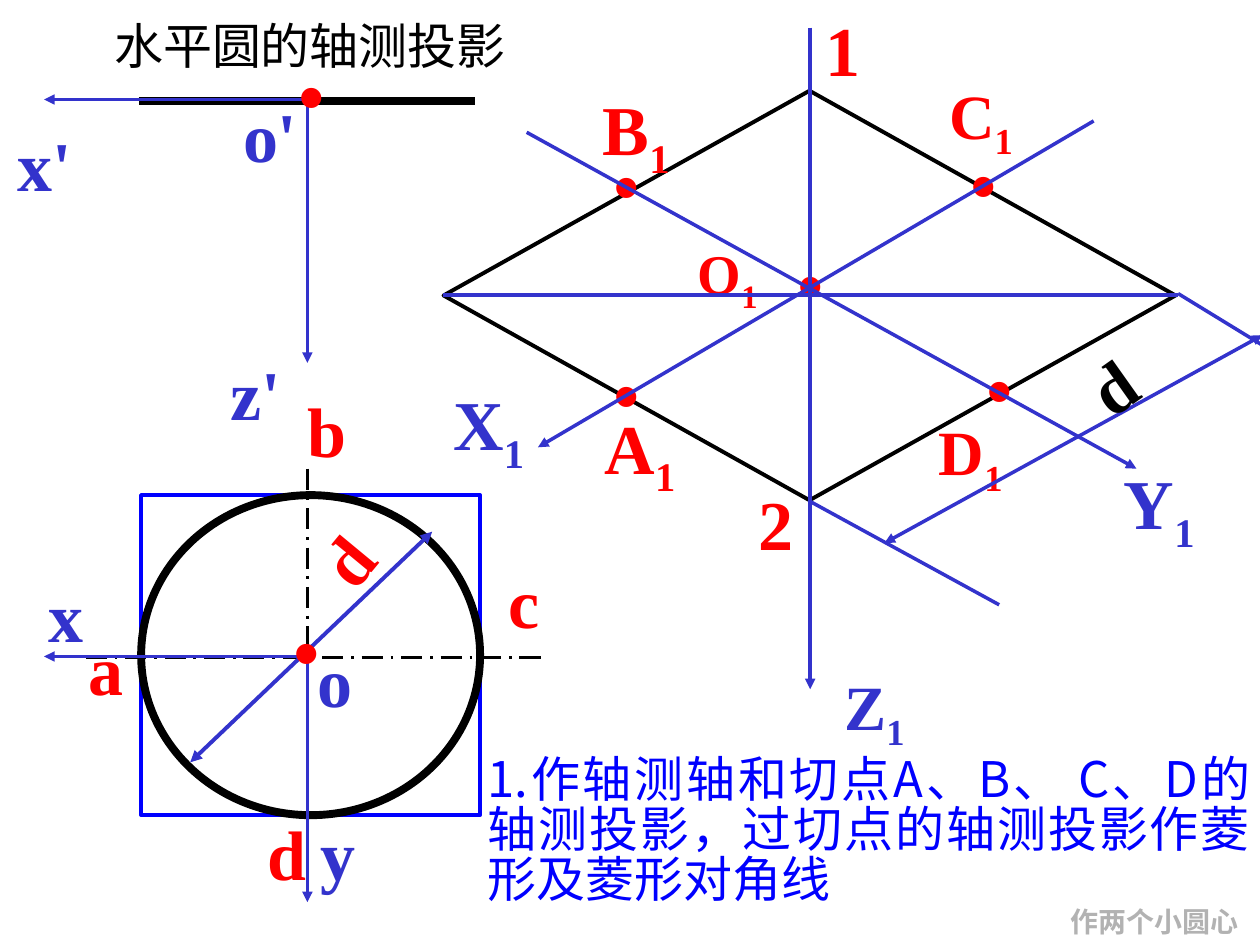
from typing import NamedTuple

from lxml.etree import SubElement
from pptx import Presentation
from pptx.dml.color import RGBColor
from pptx.enum.dml import MSO_LINE_DASH_STYLE as Dash
from pptx.enum.shapes import MSO_CONNECTOR as Connector, MSO_SHAPE as Shape
from pptx.enum.text import MSO_ANCHOR as Anchor, MSO_AUTO_SIZE as AutoSize, PP_ALIGN as Align
from pptx.oxml.ns import qn
from pptx.util import Pt

PX = 9144  # 100 px to the inch
COLORS = {
    "black": "000000", "white": "FFFFFF", "red": "FF0000",
    "blue": "0000FF", "axis": "3333CC", "grey": "B2B2B2",
}
SERIF = "Times New Roman"
SANS = "Noto Sans CJK SC"


class Box(NamedTuple):
    left: int
    top: int
    width: int
    height: int

    def inside(self, x, y, width, height):
        return Box(self.left + x, self.top + y, width, height)


def rgb(name):
    return RGBColor.from_string(COLORS[name])


def set_attributes(target, values):
    for name, value in values.items():
        setattr(target, name, value)


def add_text(slide, box, text, color, size=40, font=SERIF, bold=True,
             align=Align.CENTER, wrap=False, subscript="", rotation=0, spacing=None):
    shape = slide.shapes.add_textbox(*(length * PX for length in box))
    shape.rotation = rotation
    set_attributes(shape.text_frame, {
        "word_wrap": wrap,
        "auto_size": AutoSize.SHAPE_TO_FIT_TEXT,
        "vertical_anchor": Anchor.MIDDLE,
    })
    paragraph = shape.text_frame.paragraphs[0]
    set_attributes(paragraph, {"alignment": align, "line_spacing": spacing})
    for content, baseline in ((text, None), (subscript, "-25000")):
        if not content:
            continue
        run = paragraph.add_run()
        run.text = content
        set_attributes(run.font, {"size": Pt(size), "bold": bold, "name": font})
        run.font.color.rgb = rgb(color)
        properties = run._r.get_or_add_rPr()
        SubElement(properties, qn("a:ea"), typeface=SANS)
        if baseline:
            properties.set("baseline", baseline)


def add_labels(slide, box, color, labels):
    """Each label is text, x, y, width; 40 pt and without subscript."""
    for text, x, y, width in labels:
        add_text(slide, box.inside(x, y, width, 77), text, color)


def add_points(slide, box, points):
    for x, y in points:
        add_text(slide, box.inside(x, y, 43, 77), "•", "red", font="Arial")


def add_outline(slide, kind, box, color, weight, fill=None):
    shape = slide.shapes.add_shape(kind, *(length * PX for length in box))
    shape.shadow.inherit = False
    shape.line.color.rgb = rgb(color)
    shape.line.width = Pt(weight)
    if fill:
        shape.fill.solid()
        shape.fill.fore_color.rgb = rgb(fill)
    else:
        shape.fill.background()


def add_line(slide, box, start, end, color="axis", weight=2, arrows=(), dash=None):
    """arrows names the arrowed ends: headEnd at start, tailEnd at end."""
    ends = [(edge + offset) * PX for point in (start, end)
            for edge, offset in zip((box.left, box.top), point)]
    line = slide.shapes.add_connector(Connector.STRAIGHT, *ends)
    line.line.color.rgb = rgb(color)
    set_attributes(line.line, {"width": Pt(weight), "dash_style": dash})
    properties = line._element.spPr
    for end_name in arrows:
        SubElement(properties.find(qn("a:ln")), qn(f"a:{end_name}"), type="triangle")
    SubElement(properties, qn("a:effectLst"))


def draw_front_view(slide, box):
    origin = (134, -1)
    add_line(slide, box, (0, 0), (box.width, 0), "black", 4.5)
    for tip in ((134, 208), (-75, -1)):
        add_line(slide, box, origin, tip, weight=1.5, arrows=["tailEnd"])
    add_points(slide, box, [(116, -44)])
    add_labels(slide, box, "axis", [
        ("z'", 63, 193, 60), ("x'", -106, 11, 63), ("o'", 73, -12, 63)])


def draw_top_view(slide, box):
    origin = (132, 128)
    add_outline(slide, Shape.RECTANGLE, box, "blue", 2.25)
    add_outline(slide, Shape.OVAL, box, "black", 4.5, "white")
    for start, end in (((-44, 129), (320, 129)), ((132, -21), (132, 309))):
        add_line(slide, box, start, end, "black", 1.5, dash=Dash.LONG_DASH_DOT)
    add_line(slide, box, (39, 212), (231, 29), weight=2.25, arrows=["headEnd", "tailEnd"])
    for tip in ((-77, 128), (132, 323)):
        add_line(slide, box, origin, tip, arrows=["tailEnd"])
    add_points(slide, box, [(110, 84)])
    add_text(slide, box.inside(137, 13, 51, 77), "d", "red", rotation=309.5)
    add_labels(slide, box, "red", [
        ("d", 90, 245, 51), ("a", -52, 98, 48), ("b", 122, -91, 51), ("c", 282, 45, 44)])
    add_labels(slide, box, "axis", [
        ("y", 132, 245, 48), ("x", -84, 56, 48), ("o", 130, 108, 48)])


def draw_axonometric_view(slide, box):
    add_outline(slide, Shape.DIAMOND, box, "black", 2.25)
    add_points(slide, box, [(124, 201), (420, 197), (124, 35), (407, 34), (270, 114)])
    for text, color, size, bounds in (
        ("A", "red", 40, (118, 244, 76, 86)),
        ("B", "red", 40, (115, -9, 76, 86)),
        ("C", "red", 36, (390, -17, 73, 79)),
        ("D", "red", 36, (382, 250, 73, 79)),
        ("O", "red", 32, (191, 112, 69, 71)),
        ("X", "axis", 40, (-2, 225, 76, 86)),
        ("Y", "axis", 40, (530, 288, 76, 86)),
        ("Z", "axis", 36, (308, 452, 68, 79)),
    ):
        add_text(slide, box.inside(*bounds), text, color, size, subscript="1")
    for start, end, arrows in (
        ((583, 161), (650, 202), ()),
        ((291, 326), (441, 408), ()),
        ((650, 194), (350, 359), ("headEnd", "tailEnd")),
        ((291, -50), (291, 475), ("tailEnd",)),
        ((516, 24), (75, 283), ("tailEnd",)),
        ((66, 33), (550, 300), ("tailEnd",)),
    ):
        add_line(slide, box, start, end, arrows=arrows)
    add_line(slide, box, (0, 162), (583, 162), weight=2.25)
    add_text(slide, box.inside(505, 195, 51, 77), "d", "black", rotation=324.7)
    add_labels(slide, box, "red", [("1", 293, -72, 48), ("2", 240, 304, 48)])


def draw_captions(slide, title_box, step_box, next_step_box):
    add_text(slide, title_box, "水平圆的轴测投影", "black", 28, bold=False)
    add_text(slide, step_box,
             "1.作轴测轴和切点A、B、 C、D的轴测投影，过切点的轴测投影作菱形及菱形对角线",
             "blue", 28, SANS, bold=False, align=Align.JUSTIFY, wrap=True, spacing=0.85)
    add_text(slide, next_step_box, "作两个小圆心", "grey", 16)


def main():
    presentation = Presentation()
    set_attributes(presentation, {"slide_width": 1000 * PX, "slide_height": 750 * PX})
    slide = presentation.slides.add_slide(presentation.slide_layouts[6])
    draw_front_view(slide, Box(110, 80, 267, 208))
    draw_top_view(slide, Box(112, 393, 269, 254))
    draw_axonometric_view(slide, Box(352, 72, 581, 325))
    draw_captions(slide, Box(76, 7, 340, 57), Box(377, 596, 625, 129),
                  Box(840, 713, 153, 37))
    presentation.save("out.pptx")


if __name__ == "__main__":
    main()
